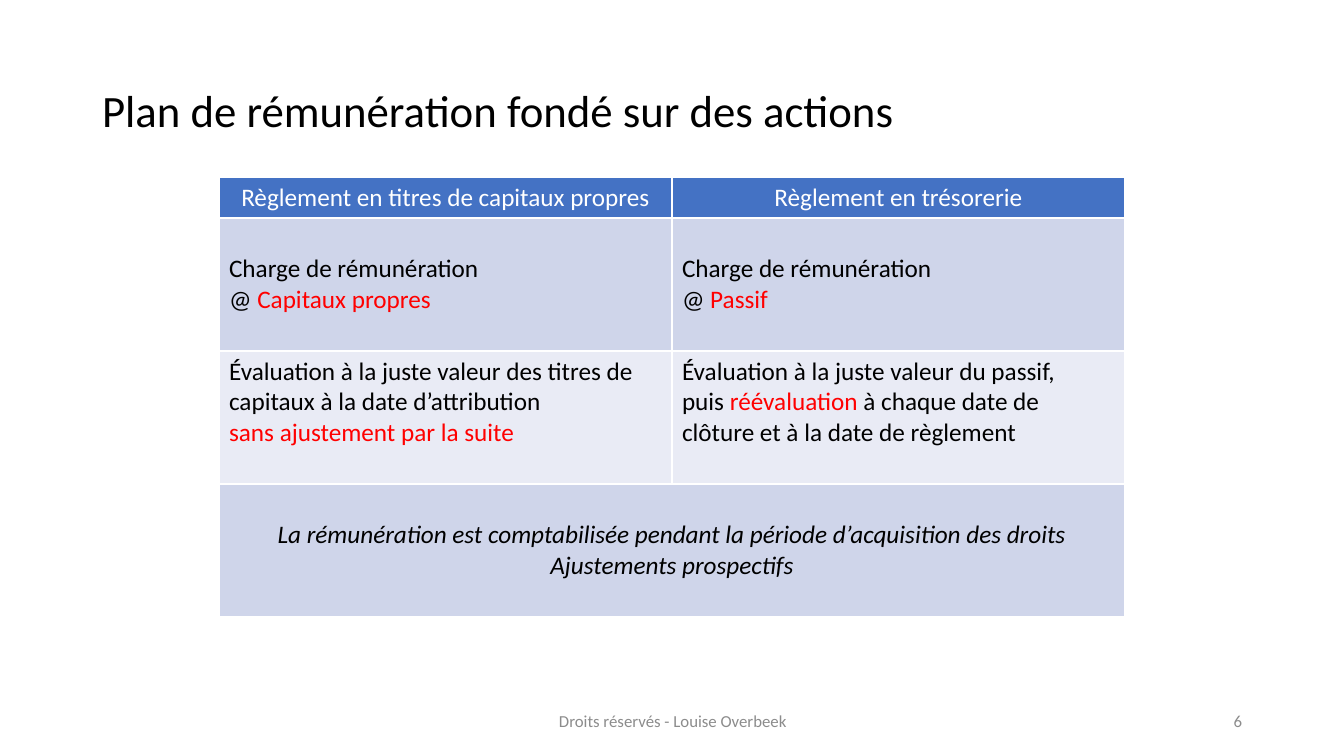
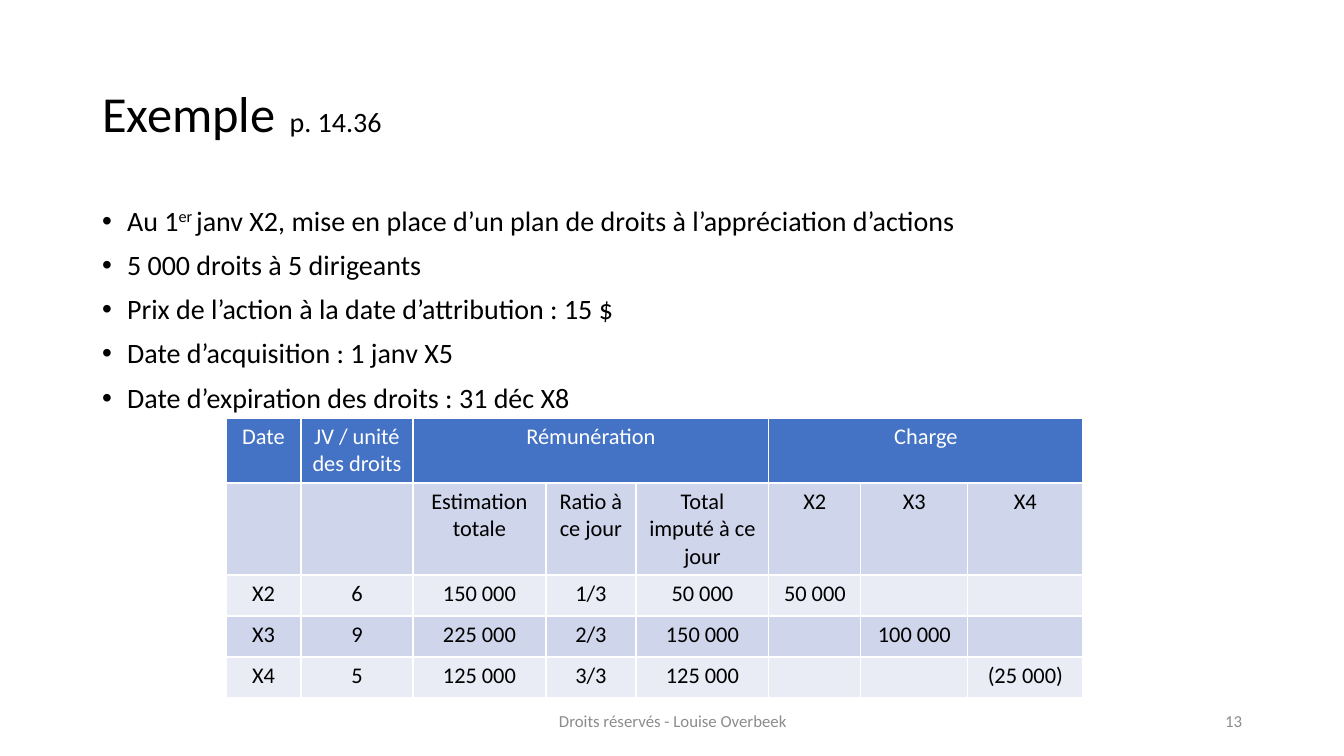
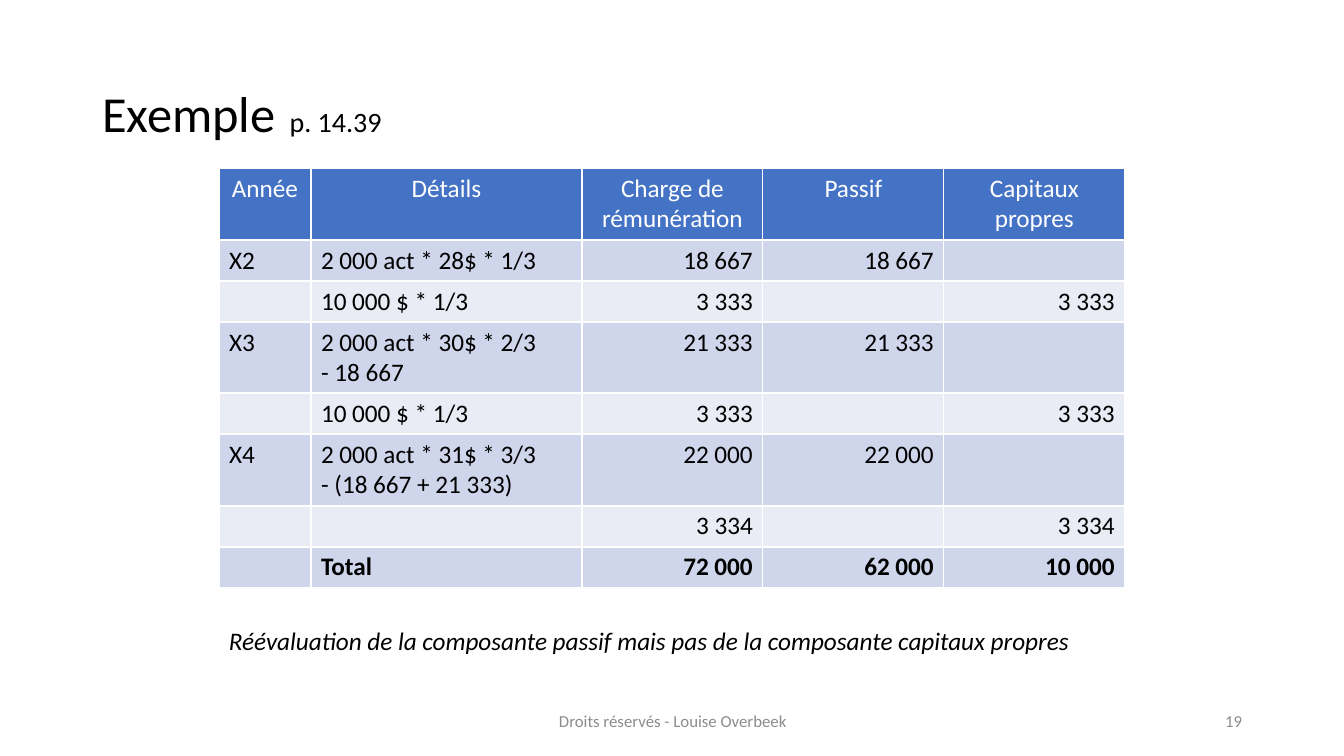
from pptx import Presentation
from pptx.dml.color import RGBColor
from pptx.enum.text import MSO_ANCHOR, MSO_AUTO_SIZE, PP_ALIGN
from pptx.util import Emu, Pt

# Shared style
SLIDE_W, SLIDE_H = 1344, 756
EMU_PER_PX = 12192000 / SLIDE_W
FONT = "Calibri"
BLACK = RGBColor(0x00, 0x00, 0x00)
WHITE = RGBColor(0xFF, 0xFF, 0xFF)
RED = RGBColor(0xFF, 0x00, 0x00)
GREY = RGBColor(0x8C, 0x8C, 0x8C)
HEADER_BLUE = RGBColor(0x44, 0x72, 0xC4)
BAND_DARK = RGBColor(0xCF, 0xD5, 0xEA)
BAND_LIGHT = RGBColor(0xE9, 0xEB, 0xF5)
LEFT, CENTER, RIGHT = PP_ALIGN.LEFT, PP_ALIGN.CENTER, PP_ALIGN.RIGHT

TITLE_BOX = (92, 40, 1159, 146)
BODY_BOX = (92, 202, 1159, 480)
FOOTER_BOX = (446, 701, 454, 40)
NUMBER_BOX = (950, 701, 302, 40)
FOOTER = "Droits réservés - Louise Overbeek"
LAYOUT_CONTENT, LAYOUT_TITLE_ONLY = 1, 5


def px(length):
    return Emu(round(length * EMU_PER_PX))


def place(shape, box):
    shape.left, shape.top, shape.width, shape.height = map(px, box)


def format_run(run, size, color, bold=False, italic=False, baseline=None):
    font = run.font
    font.name, font.size, font.bold, font.italic = FONT, Pt(size), bold, italic
    font.color.rgb = color
    if baseline:
        run._r.get_or_add_rPr().set("baseline", str(baseline * 1000))


def write(frame, text, align=LEFT, line_spacing=None, space_before=0,
          indent=0, size=18, color=BLACK, **font):
    """Text is one string or a list of paragraphs; a paragraph is a string
    or a list of runs; a run is a string or (string, format changes)."""
    lines = [text] if isinstance(text, str) else text
    for index, line in enumerate(lines):
        paragraph = frame.paragraphs[0] if index == 0 else frame.add_paragraph()
        if indent:
            properties = paragraph._p.get_or_add_pPr()
            properties.set("marL", str(px(indent)))
            properties.set("indent", str(-px(indent)))
        paragraph.alignment = align
        paragraph.space_before = Pt(space_before if index else 0)
        if line_spacing:
            paragraph.line_spacing = line_spacing
        for part in [line] if isinstance(line, str) else line:
            words, changes = (part, {}) if isinstance(part, str) else part
            run = paragraph.add_run()
            run.text = words
            format_run(run, **{"size": size, "color": color, **font, **changes})


def add_text(slide, box, text, anchor=MSO_ANCHOR.MIDDLE, **style):
    frame = slide.shapes.add_textbox(*map(px, box)).text_frame
    frame.word_wrap = True
    frame.vertical_anchor = anchor
    write(frame, text, **style)


def add_slide(prs, layout, title, number, title_size=36):
    slide = prs.slides.add_slide(prs.slide_layouts[layout])
    place(slide.shapes.title, TITLE_BOX)
    frame = slide.shapes.title.text_frame
    frame.auto_size = MSO_AUTO_SIZE.NONE
    frame.vertical_anchor = MSO_ANCHOR.MIDDLE
    write(frame, [title], size=title_size, line_spacing=0.9)
    add_text(slide, FOOTER_BOX, FOOTER, align=CENTER, size=12, color=GREY)
    add_text(slide, NUMBER_BOX, str(number), align=RIGHT, size=12, color=GREY)
    return slide


def example_title(page):
    return ["Exemple", (" ", {"size": 44}), (page, {"size": 20})]


def add_bullets(slide, lines):
    body = slide.placeholders[1]
    place(body, BODY_BOX)
    body.text_frame.auto_size = MSO_AUTO_SIZE.NONE
    write(body.text_frame, lines, size=20, indent=25, line_spacing=0.9,
          space_before=10)


def add_grid(slide, left, top, widths, heights, rows, aligns, size=18,
             merges=(), middle_rows=(), row_styles=None):
    """Table with a header row and banded rows; merges hold (row, first, last)."""
    table = slide.shapes.add_table(
        len(heights), len(widths), px(left), px(top),
        px(sum(widths)), px(sum(heights))).table
    for column, width in zip(table.columns, widths):
        column.width = px(width)
    for row, height in zip(table.rows, heights):
        row.height = px(height)
    for row, first, last in merges:
        table.cell(row, first).merge(table.cell(row, last))

    for r, values in enumerate(rows):
        band = HEADER_BLUE if r == 0 else BAND_DARK if r % 2 else BAND_LIGHT
        for c, value in enumerate(values):
            cell = table.cell(r, c)
            cell.fill.solid()
            cell.fill.fore_color.rgb = band
            if r in middle_rows:
                cell.vertical_anchor = MSO_ANCHOR.MIDDLE
            if value:
                style = {"align": aligns[c], "size": size}
                if r == 0:
                    style.update(align=CENTER, color=WHITE)
                style.update((row_styles or {}).get(r, {}))
                write(cell.text_frame, value, **style)


def red(text):
    return text, {"color": RED}


def plan_slide(prs):
    slide = add_slide(prs, LAYOUT_TITLE_ONLY,
                      "Plan de rémunération fondé sur des actions", 6,
                      title_size=32)
    rows = [
        ["Règlement en titres de capitaux propres", "Règlement en trésorerie"],
        [["Charge de rémunération", ["@ ", red(account)]]
         for account in ("Capitaux propres", "Passif")],
        [["Évaluation à la juste valeur des titres de capitaux à la date "
          "d’attribution", [red("sans ajustement par la suite")]],
         ["Évaluation à la juste valeur du passif,",
          ["puis ", red("réévaluation"),
           " à chaque date de clôture et à la date de règlement"]]],
        [["La rémunération est comptabilisée pendant la période "
          "d’acquisition des droits", "Ajustements prospectifs"], ""],
    ]
    add_grid(slide, 219, 177, [453] * 2, [41] + [133] * 3, rows, [LEFT] * 2,
             merges=[(3, 0, 1)], middle_rows=(1, 3),
             row_styles={3: {"align": CENTER, "italic": True}})


def rights_slide(prs):
    slide = add_slide(prs, LAYOUT_CONTENT, example_title("p. 14.36"), 13)
    add_bullets(slide, [
        ["Au 1", ("er ", {"baseline": 30}),
         "janv X2, mise en place d’un plan de droits à l’appréciation d’actions"],
        "5 000 droits à 5 dirigeants",
        "Prix de l’action à la date d’attribution : 15 $",
        "Date d’acquisition : 1 janv X5",
        "Date d’expiration des droits : 31 déc X8",
    ])
    rows = [
        ["Date", "JV / unité des droits", "Rémunération", "", "", "Charge", "", ""],
        ["", "", "Estimation totale", "Ratio à ce jour",
         "Total imputé à ce jour", "X2", "X3", "X4"],
        ["X2", "6", "150 000", "1/3", "50 000", "50 000", "", ""],
        ["X3", "9", "225 000", "2/3", "150 000", "", "100 000", ""],
        ["X4", "5", "125 000", "3/3", "125 000", "", "", "(25 000)"],
    ]
    add_grid(slide, 226, 418, [75, 112, 133, 90, 133, 92, 107, 115],
             [65, 92, 41, 41, 41], rows, [CENTER] * 8, size=16,
             merges=[(0, 2, 4), (0, 5, 7)])


def components_slide(prs):
    slide = add_slide(prs, LAYOUT_TITLE_ONLY, example_title("p. 14.39"), 19)
    rows = [
        ["Année", "Détails", "Charge de rémunération", "Passif",
         "Capitaux propres"],
        ["X2", "2 000 act * 28$ * 1/3", "18 667", "18 667", ""],
        ["", "10 000 $ * 1/3", "3 333", "", "3 333"],
        ["X3", ["2 000 act * 30$ * 2/3", "- 18 667"], "21 333", "21 333", ""],
        ["", "10 000 $ * 1/3", "3 333", "", "3 333"],
        ["X4", ["2 000 act * 31$ * 3/3", "- (18 667 + 21 333)"],
         "22 000", "22 000", ""],
        ["", "", "3 334", "", "3 334"],
        ["", "Total", "72 000", "62 000", "10 000"],
    ]
    add_grid(slide, 219, 168, [92, 271] + [181] * 3,
             [72, 41, 41, 71, 41, 72, 41, 40], rows,
             [LEFT] * 2 + [RIGHT] * 3, row_styles={7: {"bold": True}})
    add_text(slide, (219, 620, 907, 40),
             "Réévaluation de la composante passif mais pas de la composante "
             "capitaux propres", anchor=MSO_ANCHOR.TOP, italic=True)


def main():
    prs = Presentation()
    prs.slide_width, prs.slide_height = px(SLIDE_W), px(SLIDE_H)
    plan_slide(prs)
    rights_slide(prs)
    components_slide(prs)
    prs.save("out.pptx")


if __name__ == "__main__":
    main()
